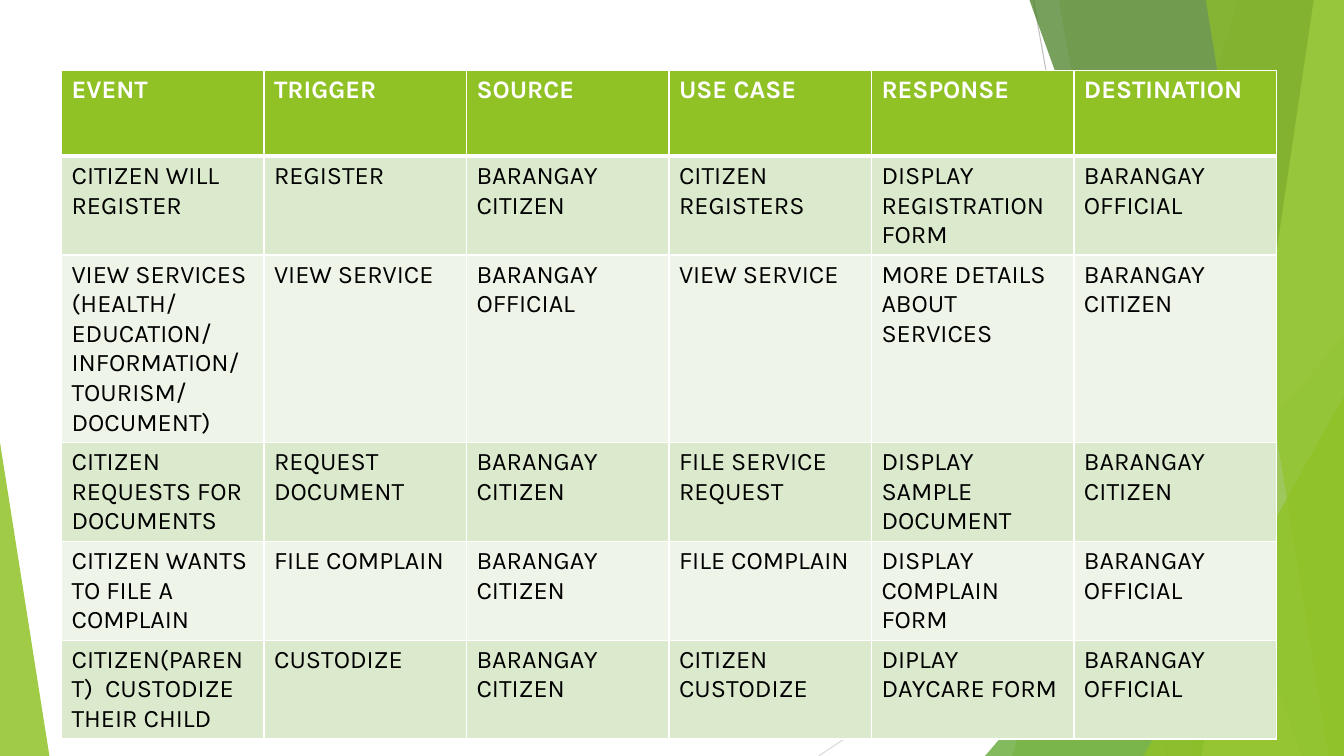
import pptx
import pptx.util
import pptx.dml.color
import pptx.enum.shapes
import pptx.oxml
import pptx.oxml.ns
import lxml.etree

Inches = pptx.util.Inches
Pt = pptx.util.Pt
qn = pptx.oxml.ns.qn
sub = lxml.etree.SubElement


def paint(fill, color, alpha=100):
    fill.solid()
    fill.fore_color.rgb = pptx.dml.color.RGBColor.from_string(color)
    if alpha < 100:
        tone = fill._xPr.find(qn("a:solidFill"))[0]
        sub(tone, qn("a:alpha"), val=str(alpha * 1000))


def edge(cell, side, width):
    line = sub(cell._tc.get_or_add_tcPr(), qn("a:ln" + side), w=str(Pt(width)))
    sub(sub(line, qn("a:solidFill")), qn("a:srgbClr"), val="FFFFFF")


deck = pptx.Presentation()
deck.slide_width = Inches(13.33)
deck.slide_height = Inches(7.5)
slide = deck.slides.add_slide(deck.slide_layouts[6])
shapes = slide.shapes

rays = [(10.25, 0, 11.58, 7.5, "BFBFBF"), (13.33, 4.03, 8.12, 7.5, "D9D9D9")]
for x1, y1, x2, y2, color in rays:
    ray = shapes.add_connector(
        pptx.enum.shapes.MSO_CONNECTOR.STRAIGHT,
        Inches(x1), Inches(y1), Inches(x2), Inches(y2))
    paint(ray.line.fill, color)
    ray.line.width = Pt(0.75)
    sub(ray._element.spPr, qn("a:effectLst"))

facets = [
    ("band", 12.28, 10.04, "90C226", 30),
    ("band", 10.5, 11.83, "90C226", 20),
    ("wedge", 9.77, 3.33, 3.56, 1, "54A021", 72),
    ("band", 10.21, 12.91, "3F7819", 70),
    ("band", 13.03, 11.92, "C0E474", 70),
    ("band", 11.96, 13.18, "90C226", 65),
    ("wedge", 11.34, 3.93, 1.99, 1, "90C226", 80),
    ("wedge", 0, 4.39, 0.49, 0, "90C226", 85),
]
for kind, *place, color, alpha in facets:
    if kind == "band":
        top, foot = place
        pen = shapes.build_freeform(Inches(top), 0)
        ends = [(13.33, 0), (13.33, 7.5), (foot, 7.5)]
        pen.add_line_segments([(Inches(x), Inches(y)) for x, y in ends])
        facet = pen.convert_to_shape()
    else:
        left, top, width, tip = place
        facet = shapes.add_shape(
            pptx.enum.shapes.MSO_SHAPE.ISOSCELES_TRIANGLE,
            Inches(left), Inches(top), Inches(width), Inches(7.5 - top))
        facet.adjustments[0] = tip
    paint(facet.fill, color, alpha)
    facet.line.fill.background()
    facet.shadow.inherit = False

events = [
    ("EVENT", "TRIGGER", "SOURCE", "USE CASE", "RESPONSE", "DESTINATION"),
    ("CITIZEN WILL REGISTER", "REGISTER", "BARANGAY CITIZEN",
     "CITIZEN REGISTERS", "DISPLAY REGISTRATION FORM", "BARANGAY OFFICIAL"),
    ("VIEW SERVICES\n(HEALTH/EDUCATION/INFORMATION/TOURISM/DOCUMENT)",
     "VIEW SERVICE", "BARANGAY OFFICIAL", "VIEW SERVICE",
     "MORE DETAILS ABOUT SERVICES", "BARANGAY CITIZEN"),
    ("CITIZEN REQUESTS FOR DOCUMENTS", "REQUEST DOCUMENT", "BARANGAY CITIZEN",
     "FILE SERVICE REQUEST", "DISPLAY SAMPLE DOCUMENT", "BARANGAY CITIZEN"),
    ("CITIZEN WANTS TO FILE A COMPLAIN", "FILE COMPLAIN", "BARANGAY CITIZEN",
     "FILE COMPLAIN", "DISPLAY COMPLAIN FORM", "BARANGAY OFFICIAL"),
    ("CITIZEN(PARENT)  CUSTODIZE THEIR CHILD", "CUSTODIZE", "BARANGAY CITIZEN",
     "CITIZEN CUSTODIZE", "DIPLAY DAYCARE FORM", "BARANGAY OFFICIAL"),
]
table = shapes.add_table(
    len(events), len(events[0]),
    Inches(0.61), Inches(0.7), Inches(12.05), Inches(5.52)).table
for r, event in enumerate(events):
    table.rows[r].height = Inches(1.27 if r == 2 else 0.85)
    head = r == 0
    for c, text in enumerate(event):
        cell = table.cell(r, c)
        for side in "LRTB":
            thick = side == "B" and head or side == "T" and r == 1
            edge(cell, side, 3 if thick else 1)
        paint(cell.fill, "90C226" if head else "DBE9CD" if r % 2 else "EEF4E8")
        cell.text_frame.text = text
        for para in cell.text_frame.paragraphs:
            for run in para.runs:
                run.font.name = "Karla"
                run.font.size = Pt(18)
                run.font.bold = head
                paint(run.font.fill, "FFFFFF" if head else "000000")

deck.save("out.pptx")
